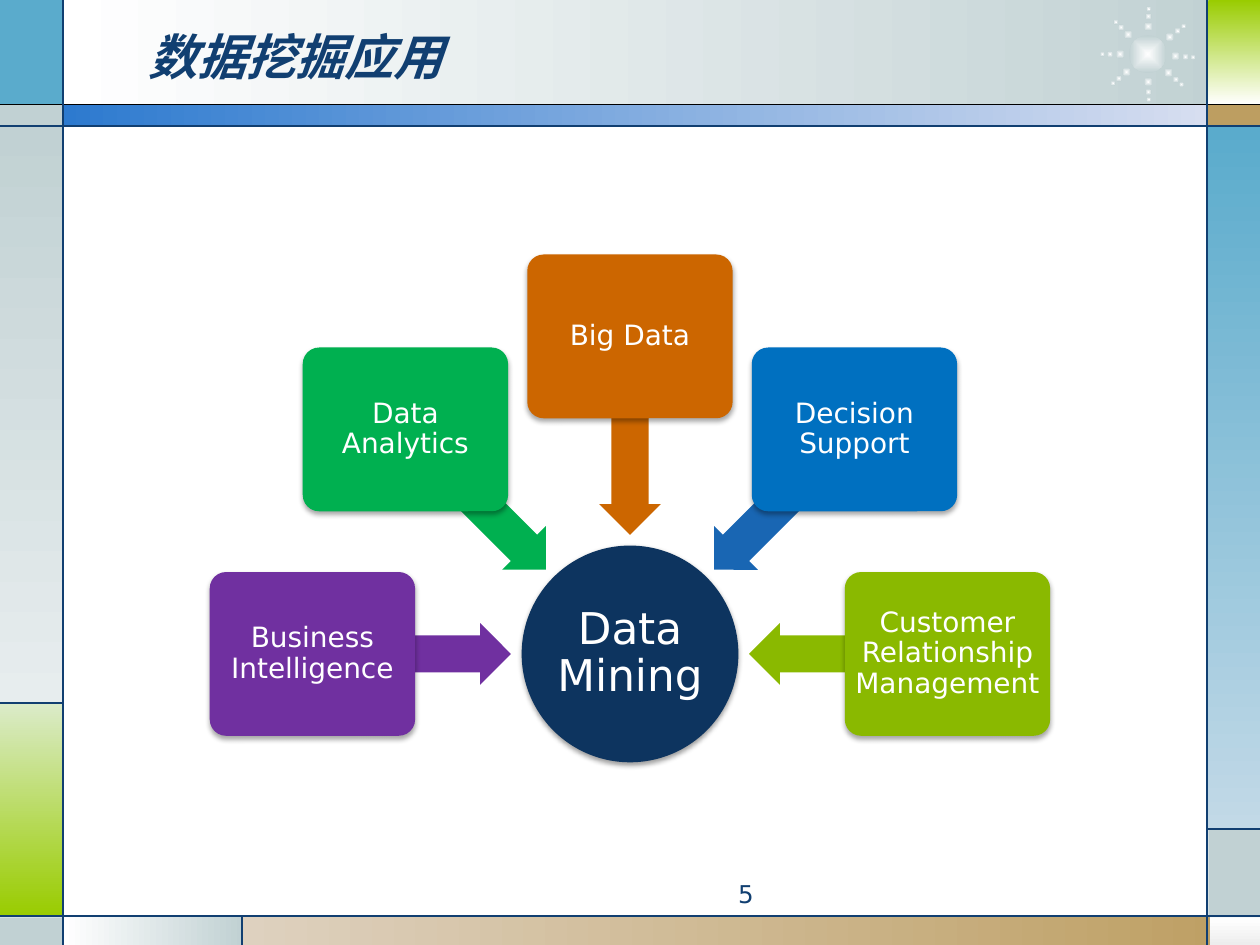
from math import cos, radians, sin

from lxml import etree
from pptx import Presentation
from pptx.dml.color import RGBColor
from pptx.enum.shapes import MSO_CONNECTOR, MSO_SHAPE as SHAPE
from pptx.enum.text import MSO_ANCHOR as ANCHOR, PP_ALIGN as ALIGN
from pptx.oxml import parse_xml
from pptx.oxml.ns import nsdecls, qn
from pptx.util import Inches, Pt

FONT = "DejaVu Sans"
WHITE = RGBColor(0xFF, 0xFF, 0xFF)
BLACK = RGBColor(0x00, 0x00, 0x00)
NAVY = RGBColor(0x11, 0x3F, 0x71)
HUB_NAVY = RGBColor(0x0D, 0x34, 0x5F)
SKY = RGBColor(0x5A, 0xAB, 0xCC)
PALE_SKY = RGBColor(0xC2, 0xD9, 0xE7)
GRAY = RGBColor(0xC1, 0xD1, 0xD3)
PALE_GRAY = RGBColor(0xE7, 0xED, 0xEE)
SILVER = RGBColor(0xED, 0xED, 0xED)
LIME = RGBColor(0x99, 0xCC, 0x00)
PALE_LIME = RGBColor(0xDB, 0xEB, 0xC9)
TAN = RGBColor(0xBD, 0x9E, 0x61)
PALE_TAN = RGBColor(0xDE, 0xD1, 0xBF)
BAR_BLUE = RGBColor(0x2D, 0x7A, 0xCF)
PALE_BLUE = RGBColor(0xD7, 0xDE, 0xF0)
PURPLE = RGBColor(0x70, 0x30, 0xA0)
GREEN = RGBColor(0x00, 0xB0, 0x50)
ORANGE = RGBColor(0xCC, 0x66, 0x00)
BLUE = RGBColor(0x00, 0x70, 0xC0)
ARROW_BLUE = RGBColor(0x19, 0x66, 0xB3)
OLIVE = RGBColor(0x8A, 0xB9, 0x00)

RIGHTWARD, DOWNWARD = 0, 270

# Box in inches, colours (one is solid, two are a gradient), gradient angle
PANELS = [
    ((0.5, 0, 9.27, 0.84), (WHITE, GRAY), RIGHTWARD),
    ((0, 0, 0.5, 0.84), (SKY,), None),
    ((0, 0.83, 0.5, 0.17), (GRAY,), None),
    ((0, 1, 0.5, 4.58), (GRAY, PALE_GRAY), DOWNWARD),
    ((0, 5.58, 0.5, 1.69), (PALE_LIME, LIME), DOWNWARD),
    ((0, 7.28, 0.5, 0.22), (GRAY,), None),
    ((0.5, 7.27, 1.43, 0.23), (WHITE, GRAY), RIGHTWARD),
    ((1.92, 7.27, 8.08, 0.23), (PALE_TAN, TAN), RIGHTWARD),
    ((9.6, 7.28, 0.4, 0.22), (WHITE, SILVER), DOWNWARD),
    ((9.59, 6.58, 0.41, 0.7), (GRAY,), None),
    ((9.58, 1, 0.42, 5.58), (SKY, PALE_SKY), DOWNWARD),
    ((9.58, 0.83, 0.42, 0.17), (TAN,), None),
    ((9.59, 0, 0.41, 0.83), (LIME, WHITE), DOWNWARD),
    ((0.5, 0.83, 9.09, 0.17), (BAR_BLUE, PALE_BLUE), RIGHTWARD),
]
RULES = [
    ((0, 0.83, 10, 0.83), BLACK),
    ((0, 1, 10, 1), NAVY),
    ((0, 7.27, 10, 7.27), NAVY),
    ((0.5, 0, 0.5, 7.5), NAVY),
    ((9.58, 0, 9.58, 7.5), NAVY),
    ((0, 5.58, 0.5, 5.58), NAVY),
    ((1.92, 7.27, 1.92, 7.5), NAVY),
    ((9.58, 6.58, 10, 6.58), NAVY),
]
# Clockwise direction from the hub, label, box colour, arrow colour
APPLICATIONS = [
    (180, "Business Intelligence", PURPLE, PURPLE),
    (225, "Data Analytics", GREEN, GREEN),
    (270, "Big Data", ORANGE, ORANGE),
    (315, "Decision Support", BLUE, ARROW_BLUE),
    (0, "Customer Relationship Management", OLIVE, OLIVE),
]


def add_filled(slide, kind, box, colors, angle=None):
    shape = slide.shapes.add_shape(kind, *map(Inches, box))
    shape.shadow.inherit = False
    shape.line.fill.background()
    if len(colors) == 1:
        shape.fill.solid()
        shape.fill.fore_color.rgb = colors[0]
    else:
        shape.fill.gradient()
        shape.fill.gradient_angle = angle or 0
        for stop, color in zip(shape.fill.gradient_stops, colors):
            stop.color.rgb = color
    return shape


def add_centered(slide, kind, center, size, colors):
    box = (center[0] - size[0] / 2, center[1] - size[1] / 2, *size)
    return add_filled(slide, kind, box, colors)


def polar(center, radius, angle):
    return (center[0] + radius * cos(radians(angle)),
            center[1] + radius * sin(radians(angle)))


def add_drop_shadow(shape, opacity, distance):
    effects = shape.element.spPr.find(qn("a:effectLst"))
    effects.append(parse_xml(
        f'<a:outerShdw {nsdecls("a")} blurRad="{Pt(3.1)}" dist="{Pt(distance)}" '
        f'dir="5400000" rotWithShape="0"><a:srgbClr val="000000">'
        f'<a:alpha val="{opacity * 1000}"/></a:srgbClr></a:outerShdw>'))


def style_text(text_frame, size, color, align):
    paragraph = text_frame.paragraphs[0]
    paragraph.alignment = align
    font = paragraph.runs[0].font
    font.name, font.size, font.color.rgb = FONT, Pt(size), color
    return paragraph


def set_label(shape, text, size):
    frame = shape.text_frame
    frame.text = text
    frame.word_wrap = True
    frame.vertical_anchor = ANCHOR.MIDDLE
    frame.margin_left = frame.margin_right = Inches(0.02)
    frame.margin_top = frame.margin_bottom = Inches(0.02)
    style_text(frame, size, WHITE, ALIGN.CENTER).line_spacing = 0.9


def add_sunburst(slide, center):
    def add_glow(point, size):
        dot = add_centered(slide, SHAPE.OVAL, point, (size, size), (WHITE, GRAY))
        gradient = dot.element.spPr.find(qn("a:gradFill"))
        gradient.replace(gradient.find(qn("a:lin")), parse_xml(
            f'<a:path {nsdecls("a")} path="shape">'
            '<a:fillToRect l="50000" t="50000" r="50000" b="50000"/></a:path>'))

    add_glow(center, 0.3)
    for angle in (4, 42, 89, 140, 180, 225, 271, 322):
        for radius, size in ((0.22, 0.07), (0.3, 0.05), (0.36, 0.04)):
            add_glow(polar(center, radius, angle), size)


def add_frame(slide):
    for box, colors, angle in PANELS:
        add_filled(slide, SHAPE.RECTANGLE, box, colors, angle)
    add_sunburst(slide, (9.11, 0.43))
    for ends, color in RULES:
        rule = slide.shapes.add_connector(MSO_CONNECTOR.STRAIGHT, *map(Inches, ends))
        rule.line.color.rgb = color
        rule.line.width = Pt(0.75)
        etree.SubElement(rule.element.spPr, qn("a:effectLst"))


def add_title(slide, box, text):
    title = slide.shapes.title
    slide.shapes.element.append(title.element)  # bring in front of the frame
    title.left, title.top, title.width, title.height = map(Inches, box)
    title.text_frame.text = text
    title.text_frame.vertical_anchor = ANCHOR.MIDDLE
    font = style_text(title.text_frame, 28, NAVY, ALIGN.LEFT).runs[0].font
    font.bold = font.italic = True


def add_page_number(slide, box, number):
    frame = slide.shapes.add_textbox(*map(Inches, box)).text_frame
    frame.word_wrap = True
    frame.text = number
    style_text(frame, 14, NAVY, ALIGN.RIGHT)


def add_radial_diagram(slide, box):
    left, top, width, height = box
    hub_size = 1.72
    center = (left + width / 2, top + height - hub_size / 2)

    # Hub
    hub = add_centered(slide, SHAPE.OVAL, center, (hub_size, hub_size), (HUB_NAVY,))
    add_drop_shadow(hub, 38, 1.6)
    set_label(hub, "Data Mining", 25)

    # Applications, each with an arrow that points to the hub
    for angle, label, box_color, arrow_color in APPLICATIONS:
        arrow = add_centered(slide, SHAPE.LEFT_ARROW, polar(center, 1.73, angle),
                             (1.57, 0.49), (arrow_color,))
        arrow.adjustments[0], arrow.adjustments[1] = 0.6, 0.5
        arrow.rotation = angle
        node = add_centered(slide, SHAPE.ROUNDED_RECTANGLE, polar(center, 2.52, angle),
                            (1.63, 1.3), (box_color,))
        node.adjustments[0] = 0.1
        add_drop_shadow(node, 35, 1.8)
        set_label(node, label, 16)


def main():
    presentation = Presentation()
    presentation.slide_width, presentation.slide_height = Inches(10), Inches(7.5)
    slide = presentation.slides.add_slide(presentation.slide_layouts[5])
    add_frame(slide)
    add_title(slide, (1.08, 0.13, 7.33, 0.62), "数据挖掘应用")
    add_page_number(slide, (3.75, 6.93, 2.33, 0.27), "5")
    add_radial_diagram(slide, (1.67, 2.01, 6.66, 4.04))
    presentation.save("out.pptx")


if __name__ == "__main__":
    main()
